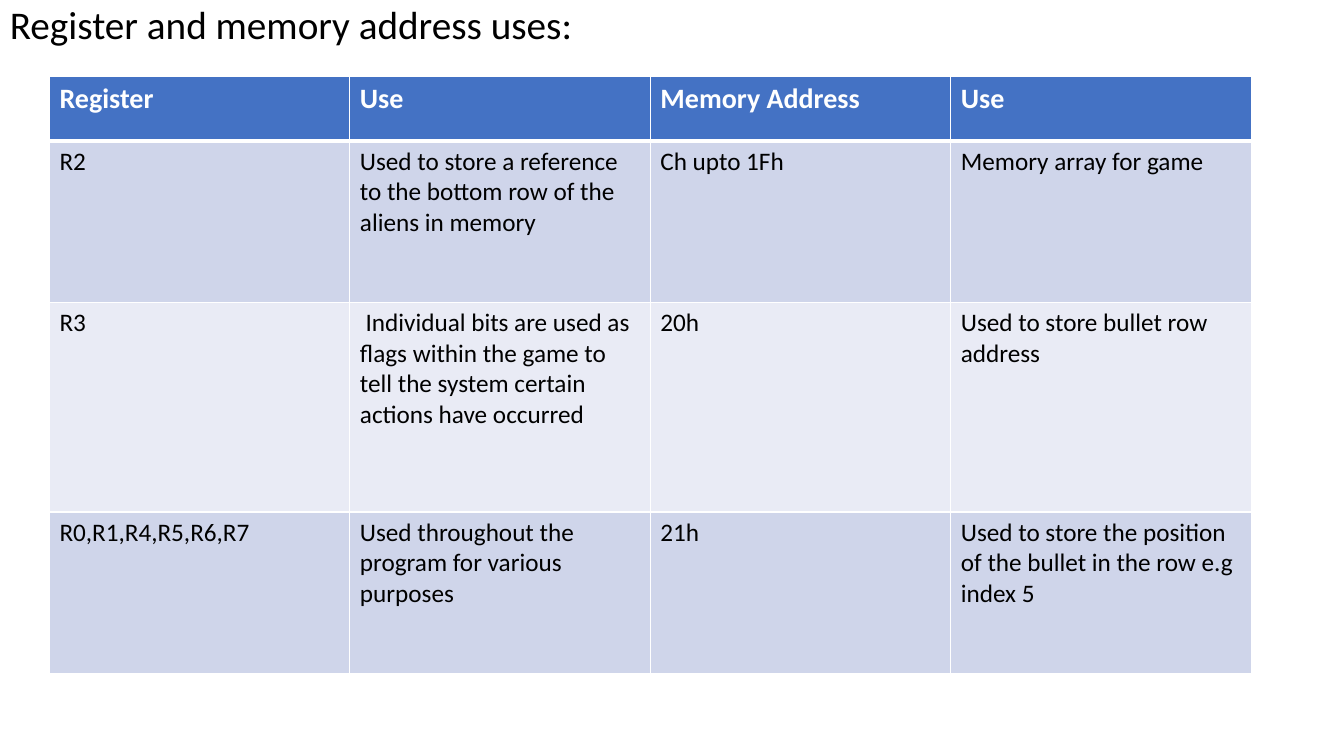
from dataclasses import dataclass

from lxml import etree
from pptx import Presentation
from pptx import util as u
from pptx.dml.color import RGBColor
from pptx.enum import text
from pptx.oxml import ns


@dataclass(frozen=True)
class Theme:
    font: str = "Calibri"
    ink: str = "000000"
    paper: str = "FFFFFF"
    head: str = "4472C4"
    bands: tuple = ("CFD5EA", "E9EBF5")
    title: int = 28
    label: int = 20
    body: int = 18
    thin: int = 1
    thick: int = 3


THEME = Theme()
WIDE, HIGH = u.Inches(13.33), u.Inches(7.5)
LEFT, TOP = u.Inches(0.49), u.Inches(0.76)
COL = u.Inches(2.98)
ROWS = [u.Inches(size) for size in (0.64, 1.6, 2.08, 1.6)]

USES = [
    ("Register", "Use", "Memory Address", "Use"),
    ("R2", "Used to store a reference to the bottom row of the aliens in memory",
     "Ch upto 1Fh", "Memory array for game"),
    ("R3", " Individual bits are used as flags within the game to tell the "
     "system certain actions have occurred",
     "20h", "Used to store bullet row address"),
    ("R0,R1,R4,R5,R6,R7", "Used throughout the program for various purposes",
     "21h", "Used to store the position of the bullet in the row e.g index 5"),
]


def write(frame, words, size=THEME.body, color=THEME.ink, bold=False, lead=None):
    para = frame.paragraphs[0]
    para.line_spacing = lead
    run = para.add_run()
    run.text = words
    font = run.font
    font.name, font.size, font.bold = THEME.font, u.Pt(size), bold
    font.color.rgb = RGBColor.from_string(color)


def rule(cell, side, width):
    props = cell._tc.get_or_add_tcPr()
    line = etree.SubElement(props, ns.qn("a:ln" + side), w=str(u.Pt(width)))
    fill = etree.SubElement(line, ns.qn("a:solidFill"))
    etree.SubElement(fill, ns.qn("a:srgbClr"), val=THEME.paper)


def paint(cell, row):
    heavy = {(0, "B"), (1, "T")}
    for side in "LRTB":
        rule(cell, side, THEME.thick if (row, side) in heavy else THEME.thin)
    color = THEME.bands[(row - 1) % 2] if row else THEME.head
    cell.fill.solid()
    cell.fill.fore_color.rgb = RGBColor.from_string(color)


def add_title(slide, words):
    box = slide.shapes.add_textbox(0, 0, u.Inches(10.42), u.Inches(0.54))
    frame = box.text_frame
    frame.word_wrap = True
    frame.vertical_anchor = text.MSO_ANCHOR.MIDDLE
    write(frame, words, size=THEME.title, lead=0.9)


def add_grid(slide, data):
    cols = len(data[0])
    table = slide.shapes.add_table(
        len(data), cols, LEFT, TOP, COL * cols, sum(ROWS)).table
    for col in table.columns:
        col.width = COL
    label = {"size": THEME.label, "color": THEME.paper, "bold": True}
    for row, line in enumerate(data):
        table.rows[row].height = ROWS[row]
        for col, words in enumerate(line):
            cell = table.cell(row, col)
            paint(cell, row)
            write(cell.text_frame, words, **({} if row else label))


def main():
    deck = Presentation()
    deck.slide_width, deck.slide_height = WIDE, HIGH
    slide = deck.slides.add_slide(deck.slide_layouts[6])
    add_title(slide, "Register and memory address uses:")
    add_grid(slide, USES)
    deck.save("out.pptx")


if __name__ == "__main__":
    main()
